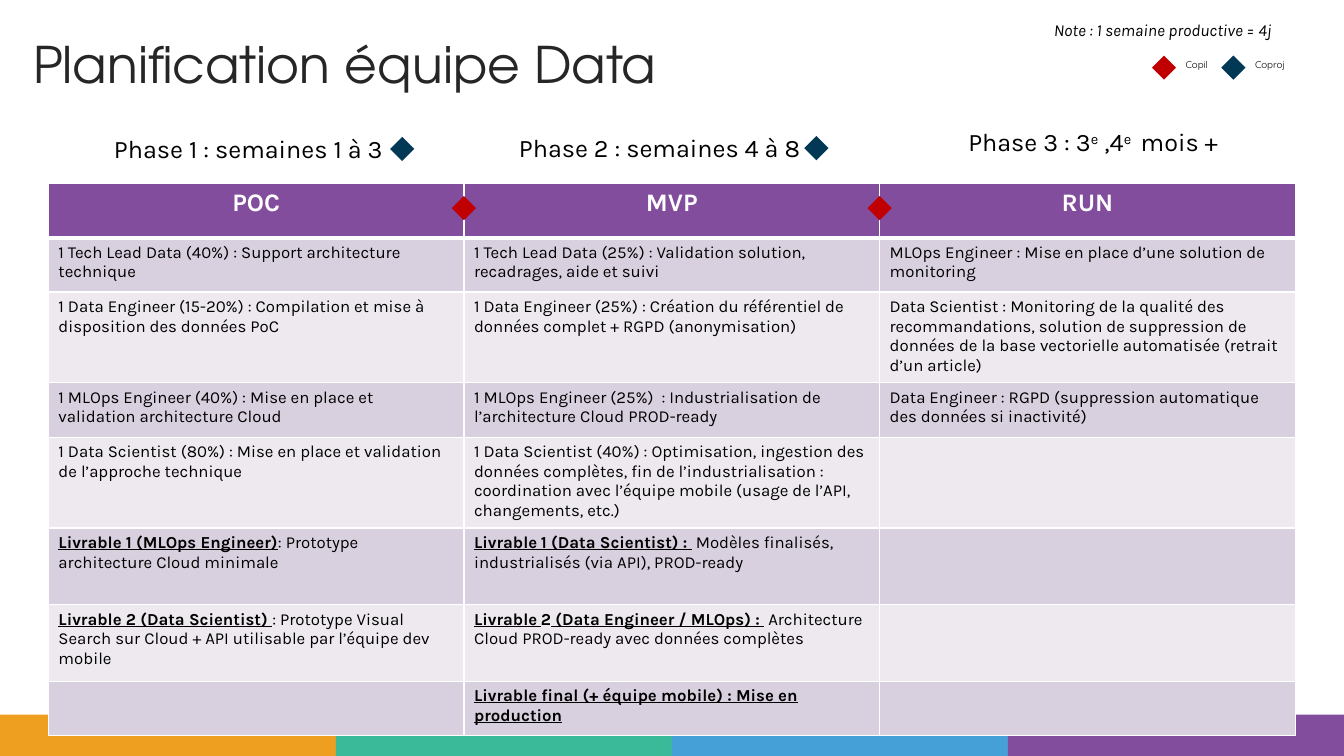
from dataclasses import dataclass
from typing import NamedTuple

from lxml.etree import SubElement
from pptx import Presentation
from pptx.dml.color import RGBColor
from pptx.enum.shapes import MSO_SHAPE as SHAPE
from pptx.enum.text import MSO_ANCHOR as ANCHOR, MSO_AUTO_SIZE as AUTO, PP_ALIGN as ALIGN
from pptx.oxml.ns import qn
from pptx.util import Cm, Pt


class Box(NamedTuple):
    """A rectangle in centimetres."""
    x: float
    y: float
    w: float
    h: float

    def cm(self):
        """Return the four lengths for a shape call."""
        return [Cm(v) for v in self]


@dataclass(frozen=True)
class Theme:
    """Colours, fonts and type sizes of the slide."""
    black: str = "000000"
    white: str = "FFFFFF"
    title: str = "262626"
    purple: str = "824D9D"
    bands: tuple = ("D8D0DF", "EDE9EF")
    strip: tuple = ("EE9F20", "3ABA99", "46A0D8", "824D9D")
    copil: str = "C00000"
    coproj: str = "003856"
    title_font: str = "TeX Gyre Adventor"
    body_font: str = "Karla"
    legend_font: str = "Quicksand"
    title_size: int = 36
    head_size: int = 18
    body_size: int = 12
    legend_size: int = 7


T = Theme()
DIAMOND = 0.61
ROW_HEIGHTS = (1.37, 1.37, 2.16, 1.37, 2.16, 1.93, 1.93, 1.37)
HEADERS = ("POC", "MVP", "RUN")
ROWS = (
    ("1 Tech Lead Data (40%) : Support architecture technique",
     "1 Tech Lead Data (25%) : Validation solution, recadrages, aide et suivi",
     "MLOps Engineer : Mise en place d’une solution de monitoring"),
    ("1 Data Engineer (15-20%) : Compilation et mise à disposition des données PoC",
     "1 Data Engineer (25%) : Création du référentiel de données complet + RGPD (anonymisation)",
     "Data Scientist : Monitoring de la qualité des recommandations, solution de suppression "
     "de données de la base vectorielle automatisée (retrait d’un article)"),
    ("1 MLOps Engineer (40%) : Mise en place et validation architecture Cloud",
     "1 MLOps Engineer (25%)  : Industrialisation de l’architecture Cloud PROD-ready",
     "Data Engineer : RGPD (suppression automatique des données si inactivité)"),
    ("1 Data Scientist (80%) : Mise en place et validation de l’approche technique",
     "1 Data Scientist (40%) : Optimisation, ingestion des données complètes, fin de "
     "l’industrialisation : coordination avec l’équipe mobile (usage de l’API, "
     "changements, etc.)", ""),
    ([("Livrable 1 (MLOps Engineer)", "bu"), (": Prototype architecture Cloud minimale", "")],
     [("Livrable", "bu"), (" ", "iu"), ("1 (Data Scientist) : ", "bu"),
      (" Modèles finalisés, industrialisés (via API), PROD-ready", "")], ""),
    ([("Livrable 2 (Data Scientist) ", "bu"),
      (": Prototype Visual Search sur Cloud + API utilisable par l’équipe dev mobile", "")],
     [("Livrable", "bu"), (" ", "iu"), ("2", "b"), (" (Data Engineer / MLOps) : ", "bu"),
      (" Architecture Cloud PROD-ready avec données complètes", "")], ""),
    ("", [("Livrable final (+ équipe mobile) : Mise en production", "bu")], ""),
)
PHASES = (
    (Box(0.76, 3.23, 11, 1.02), "Phase 1 : semaines 1 à 3", True),
    (Box(11.2, 3.21, 11, 1.02), "Phase 2 : semaines 4 à 8 ", True),
    (Box(22.05, 3.07, 11, 1.02),
     [("Phase 3 : 3", ""), ("e", "^"), (" ,4", ""), ("e ", "^"), (" mois +", "")], False),
)


def rgb(code):
    """Turn a hex code into a colour."""
    return RGBColor.from_string(code)


def write(p, content, size, font=T.body_font, color=T.black):
    """Fill a paragraph with runs marked b, i, u or ^ (superscript)."""
    p.font.size = Pt(size)
    for text, marks in [(content, "")] if isinstance(content, str) else content:
        if not text:
            continue
        r = p.add_run()
        r.text = text
        f = r.font
        f.size, f.name = Pt(size), font
        f.color.rgb = rgb(color)
        f.bold, f.italic, f.underline = "b" in marks, "i" in marks, "u" in marks
        if "^" in marks:
            r._r.get_or_add_rPr().set("baseline", "30000")


def add_shape(s, kind, box, color):
    """Add a plain filled shape."""
    sp = s.shapes.add_shape(kind, *box.cm())
    sp.shadow.inherit = False
    sp.fill.solid()
    sp.fill.fore_color.rgb = rgb(color)
    sp.line.fill.background()


def add_diamond(s, x, y, color):
    """Add a milestone diamond at its top left corner."""
    add_shape(s, SHAPE.DIAMOND, Box(x, y, DIAMOND, DIAMOND), color)


def add_text(s, box, content, size, font=T.body_font, align=ALIGN.LEFT, wrap=True):
    """Add a one-paragraph text box and return its paragraph."""
    tf = s.shapes.add_textbox(*box.cm()).text_frame
    tf.word_wrap = wrap
    p = tf.paragraphs[0]
    p.alignment = align
    write(p, content, size, font)


def add_strip(s, box):
    """Draw the coloured strip as equal bars."""
    w = box.w / len(T.strip)
    for i, color in enumerate(T.strip):
        add_shape(s, SHAPE.RECTANGLE, Box(box.x + i * w, box.y, w, box.h), color)


def add_title(s, box):
    """Place and format the title placeholder."""
    sp = s.shapes.title
    sp.left, sp.top, sp.width, sp.height = box.cm()
    tf = sp.text_frame
    tf.auto_size, tf.vertical_anchor, tf.word_wrap = AUTO.NONE, ANCHOR.MIDDLE, True
    p = tf.paragraphs[0]
    p.alignment, p.line_spacing = ALIGN.LEFT, 0.9
    write(p, "Planification équipe Data", T.title_size, T.title_font, T.title)


def add_phase(s, box, content, milestone):
    """Write a phase heading with its optional project meeting."""
    add_text(s, box, content, T.head_size, align=ALIGN.CENTER)
    if milestone:
        add_diamond(s, box.x + 9.07, box.y + 0.22, T.coproj)


def set_borders(cell, bottom):
    """Give a cell white borders."""
    tcPr = cell._tc.get_or_add_tcPr()
    for side, width in (("L", 1), ("R", 1), ("T", 1), ("B", bottom)):
        ln = SubElement(tcPr, qn(f"a:ln{side}"), w=str(Pt(width)))
        SubElement(SubElement(ln, qn("a:solidFill")), qn("a:srgbClr"), val=T.white)


def add_plan(s, box):
    """Draw the planning table and the steering diamonds between its columns."""
    table = s.shapes.add_table(len(ROWS) + 1, len(HEADERS), *box.cm()).table
    col_w = box.w / len(HEADERS)
    for col in table.columns:
        col.width = Cm(col_w)
    for i, (height, texts) in enumerate(zip(ROW_HEIGHTS, (HEADERS, *ROWS))):
        table.rows[i].height = Cm(height)
        for j, text in enumerate(texts):
            cell = table.cell(i, j)
            set_borders(cell, 1 if i else 3)
            cell.fill.solid()
            cell.fill.fore_color.rgb = rgb(T.bands[(i - 1) % 2] if i else T.purple)
            p = cell.text_frame.paragraphs[0]
            if i:
                write(p, text, T.body_size)
            else:
                p.alignment = ALIGN.CENTER
                write(p, [(text, "b")], T.head_size, color=T.white)
    for k in range(1, len(HEADERS)):
        add_diamond(s, box.x + k * col_w - DIAMOND / 2, box.y + 0.32, T.copil)


def add_legend(s, box):
    """Write the note and the key to the diamonds."""
    add_text(s, Box(box.x, box.y, 6.5, 0.76), [("Note : 1 semaine productive = 4j", "i")],
             T.body_size, wrap=False)
    for dx, name, color in ((2.72, "Copil", T.copil), (4.47, "Coproj", T.coproj)):
        x, y = box.x + dx, box.y + 1.02
        add_diamond(s, x, y, color)
        add_text(s, Box(x + 0.6, y - 0.05, 1.7, 0.56), name, T.legend_size, T.legend_font)


def main():
    """Build and save the slide."""
    prs = Presentation()
    prs.slide_width, prs.slide_height = Cm(33.87), Cm(19.05)
    s = prs.slides.add_slide(prs.slide_layouts[5])
    add_strip(s, Box(0, 18.01, 33.87, 1.04))
    add_title(s, Box(0.58, 0.36, 19.25, 2.69))
    for phase in PHASES:
        add_phase(s, *phase)
    add_plan(s, Box(1.22, 4.62, 31.42, 13.66))
    add_legend(s, Box(26.31, 0.38, 6.8, 1.63))
    prs.save("out.pptx")


if __name__ == "__main__":
    main()
